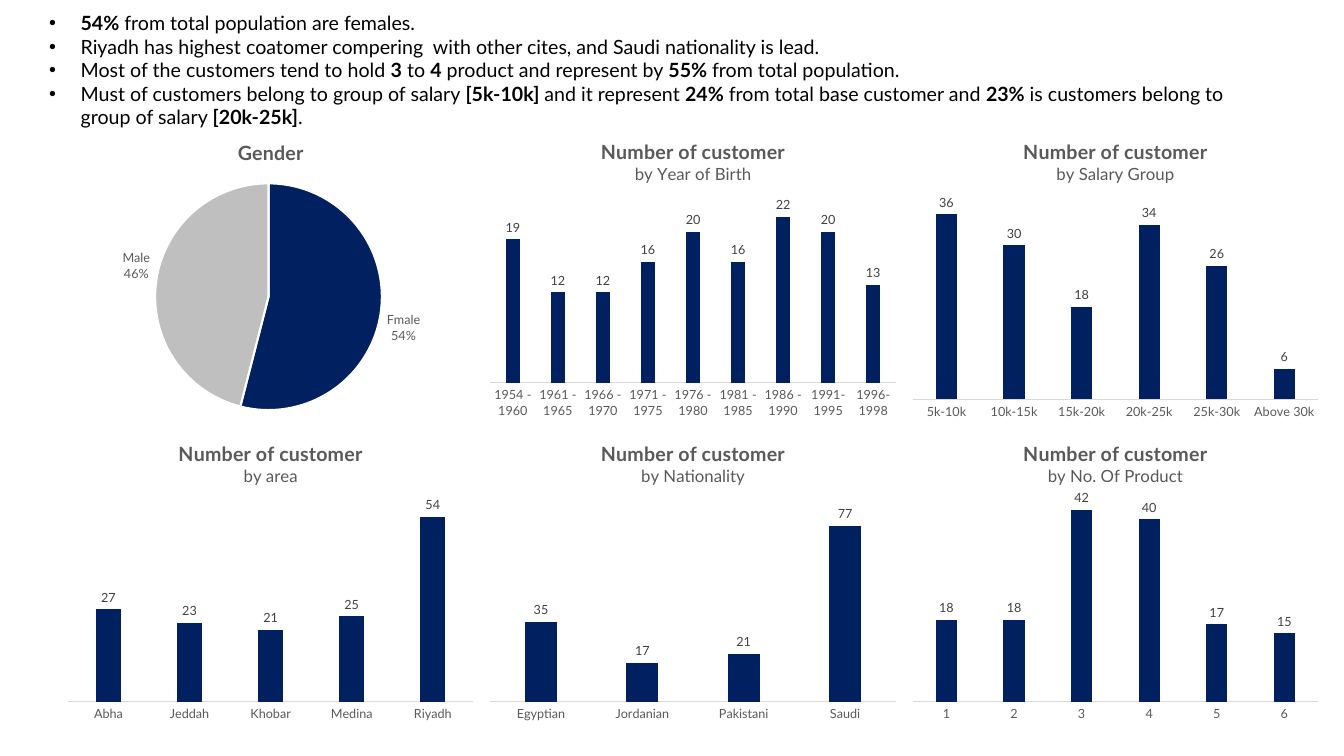
import pptx
import pptx.chart.data
import pptx.dml.color
import pptx.enum.chart
import pptx.oxml
import pptx.oxml.ns
import pptx.util

Pt = pptx.util.Pt
Kind = pptx.enum.chart.XL_CHART_TYPE
Place = pptx.enum.chart.XL_LABEL_POSITION
Tick = pptx.enum.chart.XL_TICK_MARK
NS = pptx.oxml.ns.nsdecls("c")
qn = pptx.oxml.ns.qn

FACE = "Lato"
NAVY, SILVER, WHITE, BLACK = "002060", "BFBFBF", "FFFFFF", "000000"
GREY, DARK, RULE = "595959", "404040", "D9D9D9"

# Bold parts stand between asterisks
POINTS = [
    "*54% *from total population are females.",
    "Riyadh has highest coatomer compering  with other cites, and Saudi nationality is lead.",
    "Most of the customers tend to hold *3* to *4* product and represent by "
    "*55% *from total population.",
    "Must of customers belong to group of salary *[5k-10k] *and it represent *24% *from total "
    "base customer and *23% *is customers belong to group of salary *[20k-25k]*.",
]

GENDER = {"Fmale": 54, "Male": 46}

# Column, row, subtitle, axis maximum, plot height share, values
BARS = [
    (1, 0, "by Year of Birth", 25, 0.625, {
        "1954 - 1960": 19, "1961 - 1965": 12, "1966 - 1970": 12,
        "1971 - 1975": 16, "1976 - 1980": 20, "1981 - 1985": 16,
        "1986 - 1990": 22, "1991-1995": 20, "1996-1998": 13}),
    (2, 0, "by Salary Group", 40, 0.68, {
        "5k-10k": 36, "10k-15k": 30, "15k-20k": 18,
        "20k-25k": 34, "25k-30k": 26, "Above 30k": 6}),
    (0, 1, "by area", 60, 0.68, {
        "Abha": 27, "Jeddah": 23, "Khobar": 21, "Medina": 25, "Riyadh": 54}),
    (1, 1, "by Nationality", 90, 0.68, {
        "Egyptian": 35, "Jordanian": 17, "Pakistani": 21, "Saudi": 77}),
    (2, 1, "by No. Of Product", 45, 0.68, {
        "1": 18, "2": 18, "3": 42, "4": 40, "5": 17, "6": 15}),
]


def color(code):
    return pptx.dml.color.RGBColor.from_string(code)


def paint(fill, code):
    fill.solid()
    fill.fore_color.rgb = color(code)


def style(font, size, code, bold=False):
    font.name, font.size, font.bold = FACE, Pt(size), bold
    font.color.rgb = color(code)


def cell(col, row):
    wide, high = 301.7, 216
    return 42.5 + col * wide, 87.8 + row * high, wide, high


def notes(slide, box):
    """Bulleted findings."""
    frame = slide.shapes.add_textbox(*map(Pt, box)).text_frame
    frame.word_wrap = True
    for i, text in enumerate(POINTS):
        para = frame.add_paragraph() if i else frame.paragraphs[0]
        props = para._p.get_or_add_pPr()
        props.set("marL", str(Pt(22.5)))
        props.set("indent", str(-Pt(22.5)))
        props.append(pptx.oxml.parse_xml(
            f'<a:buFont {pptx.oxml.ns.nsdecls("a")} typeface="Arial"/>'))
        props.append(pptx.oxml.parse_xml(
            f'<a:buChar {pptx.oxml.ns.nsdecls("a")} char="•"/>'))
        for j, part in enumerate(text.split("*")):
            if part:
                run = para.add_run()
                run.text = part
                style(run.font, 14, BLACK, j % 2 == 1)


def graph(slide, box, kind, title, data, plot):
    """Chart with its title and a fixed inner plot area."""
    table = pptx.chart.data.CategoryChartData()
    table.categories = list(data)
    table.add_series("Series 1", list(data.values()))
    chart = slide.shapes.add_chart(kind, *map(Pt, box), table).chart
    chart.has_legend = False
    style(chart.font, 10, BLACK)
    frame = chart.chart_title.text_frame
    frame.text = title
    for para, size in zip(frame.paragraphs, (14, 12)):
        style(para.runs[0].font, size, GREY, size == 14)

    # Plot area, as shares of the box
    area = chart._chartSpace.find(".//" + qn("c:plotArea"))
    for old in area.findall(qn("c:layout")):
        area.remove(old)
    sides = "".join(f'<c:{k} val="{v}"/>' for k, v in zip("xywh", plot))
    area.insert(0, pptx.oxml.parse_xml(
        f'<c:layout {NS}><c:manualLayout><c:layoutTarget val="inner"/>'
        f'<c:xMode val="edge"/><c:yMode val="edge"/>{sides}'
        '</c:manualLayout></c:layout>'))
    return chart


def label(plot, code):
    plot.has_data_labels = True
    tags = plot.data_labels
    style(tags.font, 9, code)
    tags.position = Place.OUTSIDE_END
    return tags


def pie(slide, box):
    """Gender split."""
    chart = graph(slide, box, Kind.PIE, "Gender", GENDER, (0.225, 0.2, 0.54, 0.75))
    plot = chart.plots[0]
    tags = label(plot, GREY)
    tags.show_value = False
    tags.show_percentage = tags.show_category_name = True
    tags.number_format, tags.number_format_is_linked = "0%", False
    mark = pptx.oxml.parse_xml(f"<c:separator {NS}>\n</c:separator>")
    tags._element.find(qn("c:showBubbleSize")).addnext(mark)
    for i, code in enumerate((NAVY, SILVER)):
        form = plot.series[0].points[i].format
        paint(form.fill, code)
        paint(form.line.fill, WHITE)
        form.line.width = Pt(1.5)


def bars(slide, box, name, top, share, data):
    """Customer count by one trait."""
    chart = graph(slide, box, Kind.COLUMN_CLUSTERED,
                  "Number of customer\n" + name, data, (0.02, 0.235, 0.96, share))
    plot = chart.plots[0]
    plot.vary_by_categories = False
    plot.gap_width, plot.overlap = 219, -27
    paint(plot.series[0].format.fill, NAVY)
    label(plot, DARK).show_value = True

    # Axes
    axis = chart.value_axis
    axis.minimum_scale, axis.maximum_scale = 0, top
    axis.has_major_gridlines = axis.visible = False
    axis = chart.category_axis
    axis.major_tick_mark = axis.minor_tick_mark = Tick.NONE
    style(axis.tick_labels.font, 9, GREY)
    paint(axis.format.line.fill, RULE)
    axis.format.line.width = Pt(0.75)


def main():
    deck = pptx.Presentation()
    deck.slide_width, deck.slide_height = Pt(960), Pt(540)
    slide = deck.slides.add_slide(deck.slide_layouts[6])
    pie(slide, cell(0, 0))
    for col, row, *rest in BARS:
        bars(slide, cell(col, row), *rest)
    notes(slide, (28, 4.3, 885.6, 92))
    deck.save("out.pptx")


if __name__ == "__main__":
    main()
